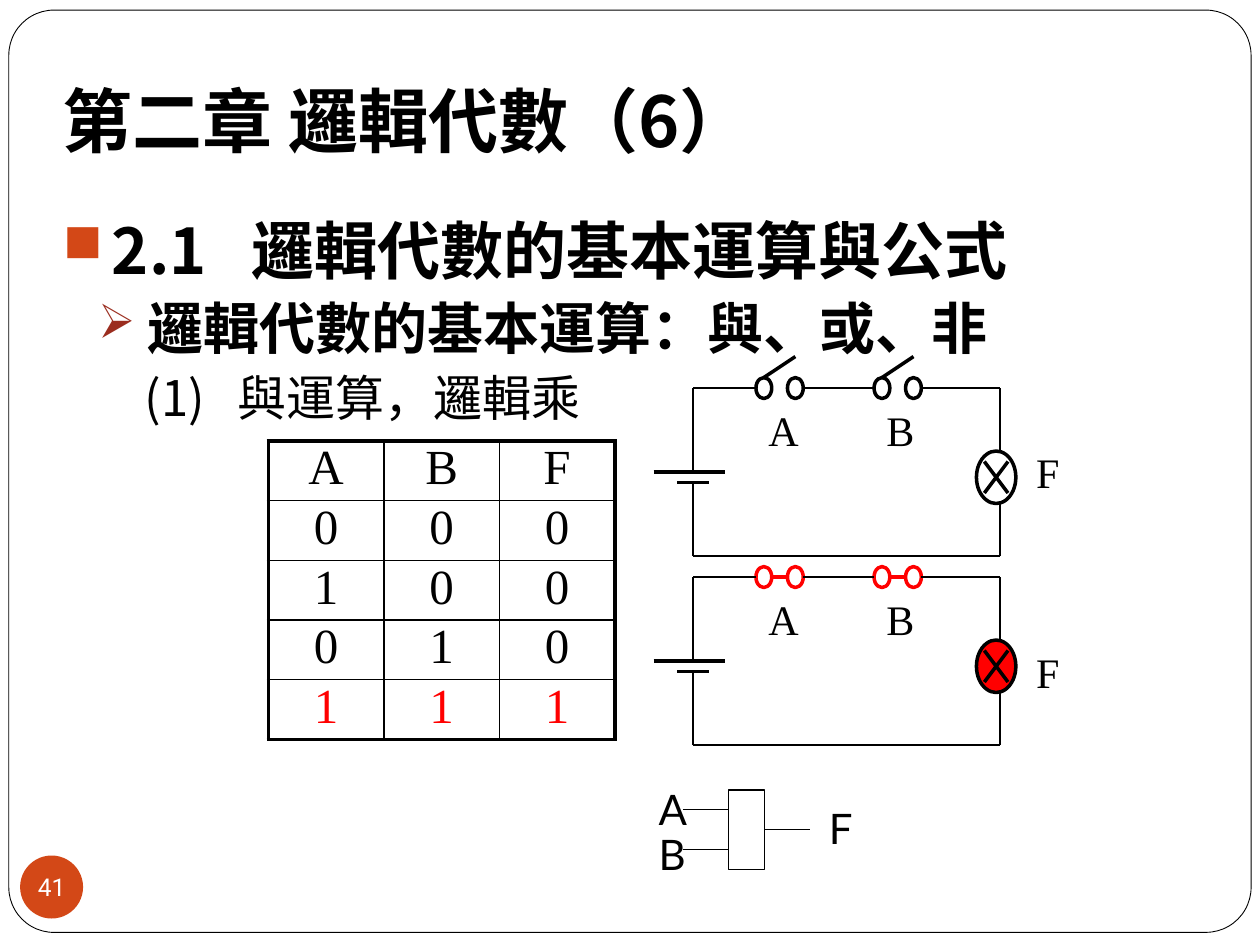
from lxml import etree
from pptx import Presentation
from pptx.dml.color import RGBColor
from pptx.enum.shapes import MSO_CONNECTOR, MSO_SHAPE
from pptx.enum.text import MSO_ANCHOR, PP_ALIGN
from pptx.oxml.ns import qn
from pptx.util import Inches, Pt

BLACK = RGBColor(0x00, 0x00, 0x00)
WHITE = RGBColor(0xFF, 0xFF, 0xFF)
RED = RGBColor(0xFF, 0x00, 0x00)
ORANGE = RGBColor(0xD3, 0x48, 0x17)
BRICK = RGBColor(0x9B, 0x2D, 0x1F)
RECTANGLE, ROUNDED, OVAL = MSO_SHAPE.RECTANGLE, MSO_SHAPE.ROUNDED_RECTANGLE, MSO_SHAPE.OVAL
STRAIGHT = MSO_CONNECTOR.STRAIGHT
CENTER = PP_ALIGN.CENTER
TOP, MIDDLE, BOTTOM = MSO_ANCHOR.TOP, MSO_ANCHOR.MIDDLE, MSO_ANCHOR.BOTTOM
CJK, SERIF, SANS, NUMERAL = "Noto Sans CJK JP", "Times New Roman", "Lato", "Roboto"
THIN, THICK = 0.75, 2
COLUMN, ROW = 1 / 16, 1 / 12


def add_element(parent, tag, **attributes):
    child = etree.SubElement(parent, qn(tag))
    for name, value in attributes.items():
        child.set(name, str(value))
    return child


def style(para, font_name, size, color=BLACK, bold=False):
    font = para.font
    font.size, font.bold, font.name = Pt(size), bold, font_name
    font.color.rgb = color
    add_element(para._p.pPr.find(qn("a:defRPr")), "a:ea", typeface=font_name)


def add_shape(shapes, kind, left, top, width, height, fill=None, line=BLACK, weight=THIN):
    shape = shapes.add_shape(kind, *map(Inches, (left, top, width, height)))
    shape.shadow.inherit = False
    if fill is None:
        shape.fill.background()
    else:
        shape.fill.solid()
        shape.fill.fore_color.rgb = fill
    if line is None:
        shape.line.fill.background()
    else:
        shape.line.color.rgb = line
        shape.line.width = Pt(weight)
    return shape


def add_line(shapes, x1, y1, x2, y2, color=BLACK, weight=THIN):
    line = shapes.add_connector(STRAIGHT, *map(Inches, (x1, y1, x2, y2)))
    line.line.color.rgb = color
    line.line.width = Pt(weight)
    add_element(line._element.spPr, "a:effectLst")


def add_text_frame(shapes, left, top, width, height, anchor=TOP, wrap=True):
    frame = shapes.add_textbox(*map(Inches, (left, top, width, height))).text_frame
    frame.word_wrap = wrap
    frame.vertical_anchor = anchor
    return frame


def add_label(shapes, text, left, top, font_name):
    para = add_text_frame(shapes, left, top, 0.44, 0.51, wrap=False).paragraphs[0]
    para.text = text
    style(para, font_name, 24)


def add_frame(page, left, top, width, height):
    frame = add_shape(page.shapes, ROUNDED, left, top, width, height, WHITE, weight=0.5)
    frame.adjustments[0] = 0.049


def add_title(page, left, top, width, height):
    frame = add_text_frame(page.shapes, left, top, width, height, BOTTOM)
    frame.margin_bottom = Inches(0.1)
    para = frame.paragraphs[0]
    para.text = "第二章 邏輯代數（6）"
    style(para, CJK, 40, bold=True)


def add_page_number(page, left, top, size):
    badge = add_shape(page.shapes, OVAL, left, top, size, size, ORANGE, None)
    frame = badge.text_frame
    frame.margin_left = frame.margin_right = frame.margin_top = frame.margin_bottom = 0
    frame.word_wrap = False
    frame.vertical_anchor = MIDDLE
    para = frame.paragraphs[0]
    para.text = "41"
    para.alignment = CENTER
    style(para, NUMERAL, 14, WHITE)


def add_outline(page, left, top, width, height):
    items = [
        ("2.1\t邏輯代數的基本運算與公式", 36, True, 0.39, -0.39, "■", ORANGE, 1.5),
        ("邏輯代數的基本運算：與、或、非", 32, True, 0.67, -0.39, "➢", BRICK, None),
        ("(1)\t與運算，邏輯乘", 28, False, 1.39, -0.74, None, None, None),
    ]
    frame = add_text_frame(page.shapes, left, top, width, height)
    for level, (text, size, bold, margin, indent, bullet, color, tab) in enumerate(items):
        para = frame.add_paragraph() if level else frame.paragraphs[0]
        para.text = text
        para.level = level
        if level:
            para.space_before = Pt(3.7)
        properties = para._p.get_or_add_pPr()
        properties.set("marL", str(Inches(margin)))
        properties.set("indent", str(Inches(indent)))
        if bullet:
            add_element(add_element(properties, "a:buClr"), "a:srgbClr", val=color)
            add_element(properties, "a:buSzPct", val=85000)
            add_element(properties, "a:buChar", char=bullet)
        if tab:
            add_element(add_element(properties, "a:tabLst"), "a:tab", pos=Inches(tab), algn="l")
        style(para, CJK, size, bold=bold)


def set_borders(cell, weights):
    properties = cell._tc.get_or_add_tcPr()
    for index, (side, weight) in enumerate(weights.items()):
        line = add_element(properties, f"a:ln{side}", w=Pt(weight))
        add_element(add_element(line, "a:solidFill"), "a:srgbClr", val=BLACK)
        properties.insert(index, line)


def add_truth_table(page, left, top, width, height):
    values = ["ABF", "000", "100", "010", "111"]
    last_row, last_column = len(values) - 1, len(values[0]) - 1
    table = page.shapes.add_table(len(values), len(values[0]),
                                  *map(Inches, (left, top, width, height))).table
    table.first_row = table.horz_banding = False
    for r, row in enumerate(values):
        for c, value in enumerate(row):
            cell = table.cell(r, c)
            cell.margin_left = cell.margin_right = Inches(0.07)
            cell.margin_top = cell.margin_bottom = 0
            cell.fill.background()
            edges = {"L": c == 0, "R": c == last_column, "T": r == 0, "B": r == last_row}
            set_borders(cell, {side: 2.25 if outer else 1 for side, outer in edges.items()})
            para = cell.text_frame.paragraphs[0]
            para.text = value
            para.alignment = CENTER
            style(para, SERIF, 28, RED if r == last_row else BLACK)


def add_circuit(page, left, top, closed, lamp_label_row):
    shapes = page.shapes.add_group_shape().shapes

    def at(column, row):
        return left + column * COLUMN, top + row * ROW

    def wire(start, end, color=BLACK, weight=THIN):
        add_line(shapes, *at(*start), *at(*end), color, weight)

    def oval(column, row, columns, rows, fill=None, line=BLACK):
        add_shape(shapes, OVAL, *at(column, row), columns * COLUMN, rows * ROW, fill, line, THICK)

    switch_color = RED if closed else BLACK
    for name, column in (("A", 8), ("B", 23)):
        oval(column, -1, 2, 2, line=switch_color)
        oval(column + 4, -1, 2, 2, line=switch_color)
        lever = ((2, 0), (4, 0)) if closed else ((1, -1), (5, -3))
        wire(*[(column + x, y) for x, y in lever], switch_color, THICK)
        add_label(shapes, name, *at(column, 1), SERIF)
    oval(36, 6, 5, 5, RED if closed else None)
    for start, end in [((37, 7), (40, 10)), ((40, 7), (37, 10)),
                       ((-5, 8), (4, 8)), ((-2, 9), (2, 9))]:
        wire(start, end, weight=THICK)
    for start, end in [((0, 0), (8, 0)), ((14, 0), (23, 0)), ((29, 0), (39, 0)),
                       ((39, 0), (39, 6)), ((39, 11), (39, 16)), ((39, 16), (0, 16)),
                       ((0, 16), (0, 9)), ((0, 0), (0, 8))]:
        wire(start, end)
    add_label(shapes, "F", *at(42, lamp_label_row), SERIF)


def add_gate(page, left, top, width, height):
    shapes = page.shapes.add_group_shape().shapes
    lead = 0.36
    right = left + width
    add_shape(shapes, RECTANGLE, left, top, width, height)
    for name, share, label_share in (("A", 0.25, -0.16), ("B", 0.75, 0.41)):
        y = top + share * height
        add_line(shapes, left - lead, y, left, y)
        add_label(shapes, name, left - 0.65, top + label_share * height, SANS)
    middle = top + height / 2
    add_line(shapes, right, middle, right + lead, middle)
    add_label(shapes, "F", right + 0.41, top + 0.08 * height, SANS)


def main():
    deck = Presentation()
    deck.slide_width, deck.slide_height = Inches(10), Inches(7.5)
    page = deck.slides.add_slide(deck.slide_layouts[6])
    add_frame(page, 0.07, 0.08, 9.86, 7.32)
    add_title(page, 0.4, 0.3, 8.5, 1.08)
    add_page_number(page, 0.16, 6.79, 0.5)
    add_outline(page, 0.4, 1.63, 9.17, 4.96)
    add_truth_table(page, 2.13, 3.5, 2.75, 2.37)
    add_circuit(page, 5.5, 3.08, False, 5)
    add_circuit(page, 5.5, 4.58, True, 6)
    add_gate(page, 5.78, 6.27, 0.29, 0.63)
    deck.save("out.pptx")


if __name__ == "__main__":
    main()
